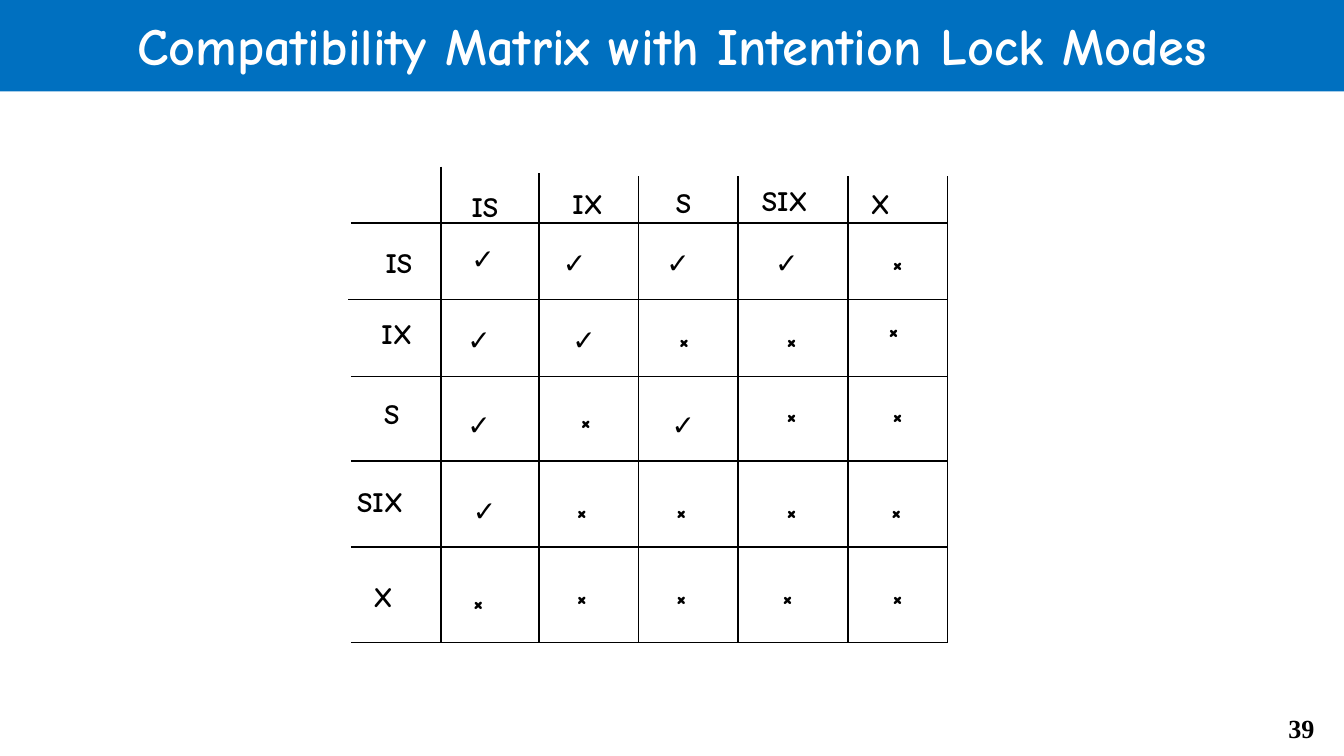
from pptx import Presentation
from pptx import util as u
from pptx.dml.color import RGBColor
from pptx.enum import shapes, text
from lxml import etree

BLUE = RGBColor(0x00, 0x70, 0xC0)
WHITE = RGBColor(0xFF, 0xFF, 0xFF)
BLACK = RGBColor(0x00, 0x00, 0x00)
A = "{http://schemas.openxmlformats.org/drawingml/2006/main}"

deck = Presentation()
deck.slide_width = u.Inches(10)
deck.slide_height = u.Inches(10 * 9 / 16)
slide = deck.slides.add_slide(deck.slide_layouts[5])


def write(box, words, size=15, font="Comic Neue", color=BLACK,
          align=text.PP_ALIGN.LEFT, anchor=text.MSO_ANCHOR.TOP):
    frame = box.text_frame
    frame.word_wrap = True
    frame.auto_size = text.MSO_AUTO_SIZE.NONE
    frame.vertical_anchor = anchor
    frame.text = words
    para = frame.paragraphs[0]
    para.alignment = align
    style = para.runs[0].font
    style.size = u.Pt(size)
    style.name = font
    style.bold = True
    style.color.rgb = color


def rule(x1, y1, x2, y2):
    line = slide.shapes.add_connector(
        shapes.MSO_CONNECTOR.STRAIGHT,
        u.Inches(x1), u.Inches(y1), u.Inches(x2), u.Inches(y2))
    line.line.color.rgb = BLACK
    line.line.width = u.Pt(0.75)
    etree.SubElement(line._element.spPr, A + "effectLst")


title = slide.shapes.title
title.left, title.top = u.Inches(0), u.Inches(-0.02)
title.width, title.height = u.Inches(10), u.Inches(0.7)
title.fill.solid()
title.fill.fore_color.rgb = BLUE
write(title, "Compatibility Matrix with Intention Lock Modes", size=28,
      color=WHITE, align=text.PP_ALIGN.CENTER, anchor=text.MSO_ANCHOR.MIDDLE)

page = slide.shapes.add_textbox(
    u.Inches(9.25), u.Inches(5.25), u.Inches(0.63), u.Inches(0.34))
write(page, "39", size=14, font="Times New Roman", align=text.PP_ALIGN.RIGHT)

right, bottom = 7.05, 4.78
tops = {3.28: 1.24, 4.01: 1.29, 4.75: 1.31, 5.49: 1.31, 6.31: 1.31, right: 1.31}
for x, top in tops.items():
    rule(x, top, x, bottom)
for y in (1.66, 2.23, 2.8, 3.43, 4.07, bottom):
    rule(2.59 if y == 2.23 else 2.61, y, right, y)

wide = {"IS": 0.55, "IX": 0.56, "S": 0.41, "SIX": 0.73, "X": 0.53,
        "✓": 0.43, "×": 0.38}
rows = [
    [("IS", 3.41, 1.36), ("IX", 4.16, 1.34), ("S", 4.93, 1.33),
     ("SIX", 5.57, 1.32), ("X", 6.38, 1.34)],
    [("IS", 2.77, 1.78), ("✓", 3.41, 1.75), ("✓", 4.09, 1.78),
     ("✓", 4.86, 1.78), ("✓", 5.67, 1.78), ("×", 6.54, 1.78)],
    [("IX", 2.74, 2.31), ("✓", 3.38, 2.35), ("✓", 4.16, 2.35),
     ("×", 4.95, 2.35), ("×", 5.75, 2.35), ("×", 6.51, 2.28)],
    [("S", 2.76, 2.9), ("✓", 3.38, 2.98), ("×", 4.22, 2.95),
     ("✓", 4.9, 2.98), ("×", 5.75, 2.91), ("×", 6.54, 2.91)],
    [("SIX", 2.56, 3.56), ("✓", 3.42, 3.62), ("×", 4.19, 3.62),
     ("×", 4.93, 3.62), ("×", 5.75, 3.62), ("×", 6.53, 3.62)],
    [("X", 2.68, 4.26), ("×", 3.42, 4.3), ("×", 4.19, 4.26),
     ("×", 4.93, 4.26), ("×", 5.72, 4.26), ("×", 6.54, 4.26)],
]
for row in rows:
    for mark, x, y in row:
        cell = slide.shapes.add_textbox(
            u.Inches(x), u.Inches(y), u.Inches(wide[mark]), u.Inches(0.4))
        write(cell, mark)

deck.save("out.pptx")
